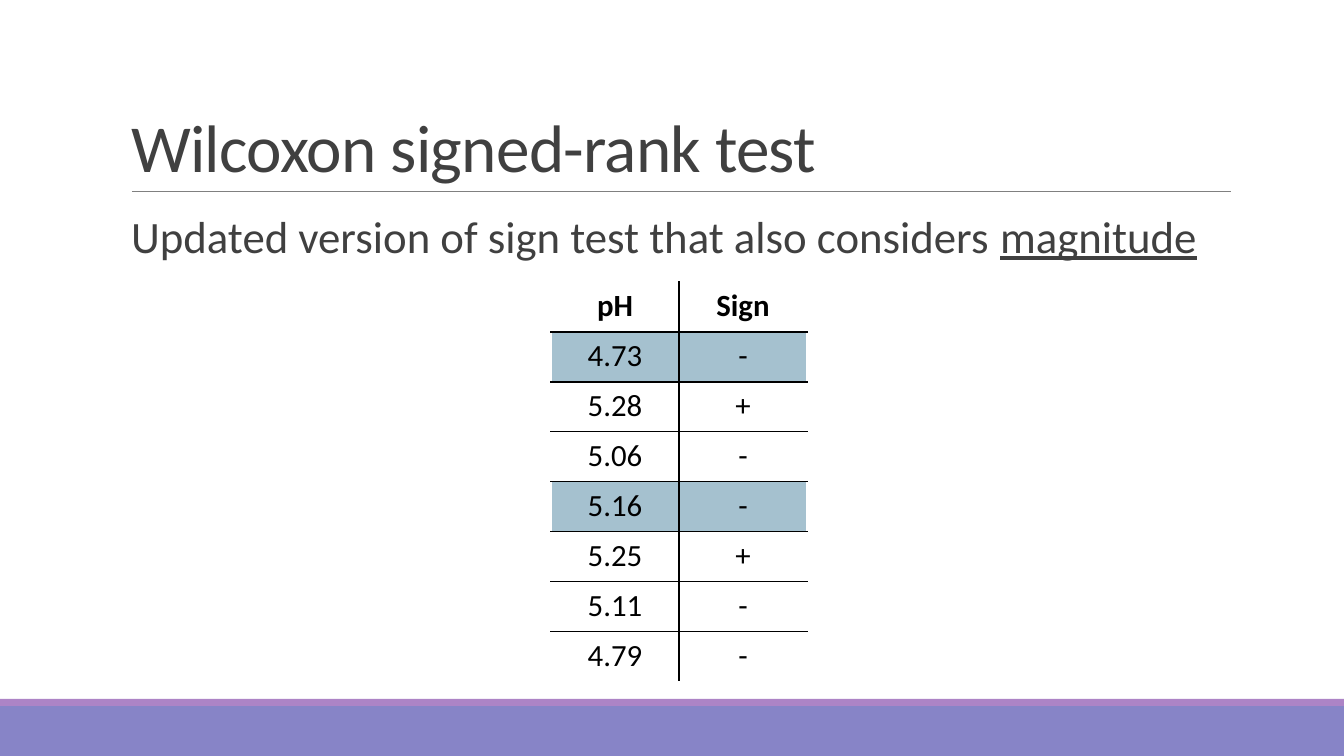
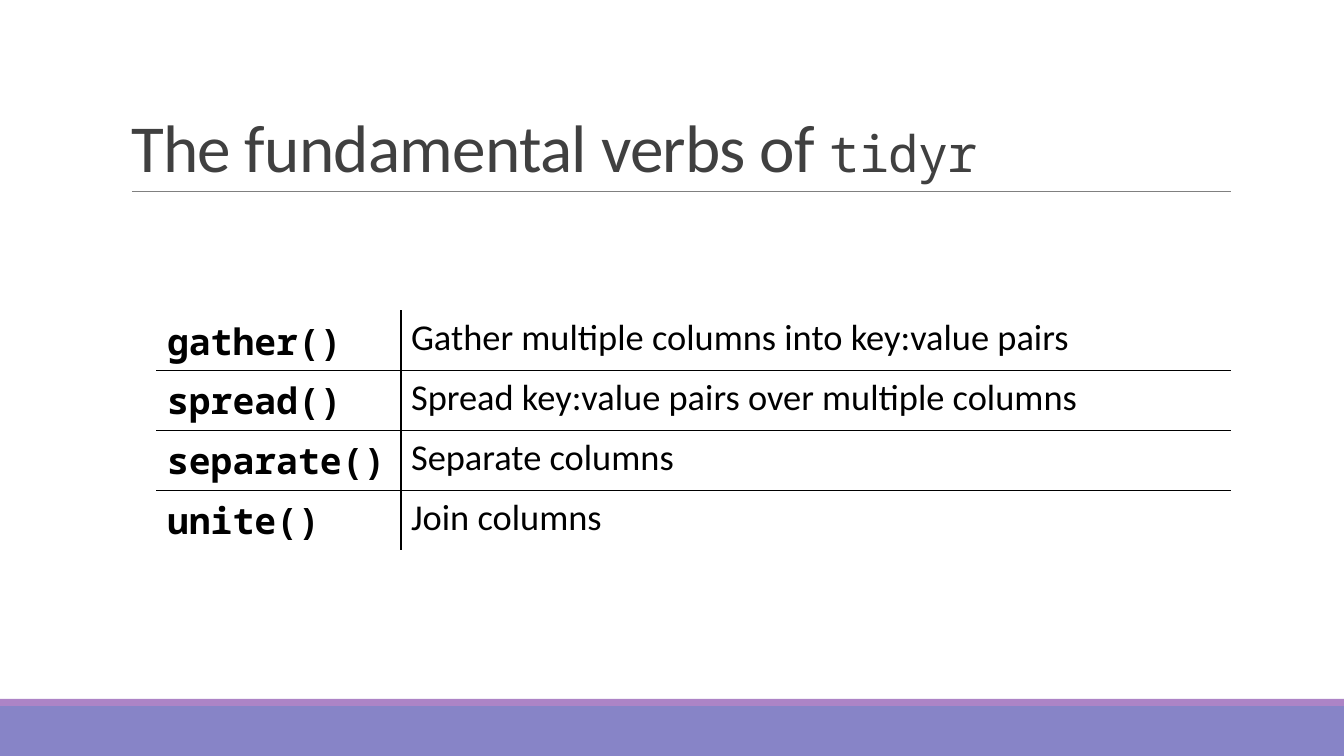
from dataclasses import dataclass

from lxml.etree import SubElement
from pptx import Presentation
from pptx.dml.color import RGBColor
from pptx.enum.shapes import MSO_CONNECTOR, MSO_SHAPE
from pptx.enum.text import MSO_ANCHOR, MSO_AUTO_SIZE, PP_ALIGN
from pptx.oxml.ns import qn
from pptx.util import Emu, Pt

PX_PER_INCH = 100.8
WIDTH, HEIGHT = 1344, 756


def px(n):
    return Emu(round(n * 914400 / PX_PER_INCH))


@dataclass(frozen=True)
class Theme:
    text: str = "404040"
    ink: str = "000000"
    paper: str = "FFFFFF"
    rule: str = "808080"
    footer: str = "8784C7"
    accent: str = "AD84C6"
    highlight: str = "A5C1CF"
    sans: str = "Calibri"
    mono: str = "Noto Sans Mono"
    title_size: int = 48
    title_code_size: int = 36
    body_size: int = 32
    number_size: int = 22
    verb_size: int = 26


class Deck:
    """Holds the style and the slide being built."""

    def __init__(self, theme):
        self.theme = theme
        self.prs = Presentation()
        self.prs.slide_width, self.prs.slide_height = px(WIDTH), px(HEIGHT)
        self.s = None

    # Slide with its shared bands and title rule
    def slide(self, layout):
        self.s = self.prs.slides.add_slide(self.prs.slide_layouts.get_by_name(layout))
        self.band(706, 50, self.theme.footer)
        self.band(699, 7, self.theme.accent)
        self.rule(132, 1231, 191)

    def band(self, top, height, color):
        sp = self.s.shapes.add_shape(MSO_SHAPE.RECTANGLE, 0, px(top), px(WIDTH), px(height))
        sp.shadow.inherit = False
        sp.fill.solid()
        sp.fill.fore_color.rgb = RGBColor.from_string(color)
        sp.line.fill.background()

    def rule(self, left, right, y):
        ln = self.s.shapes.add_connector(
            MSO_CONNECTOR.STRAIGHT, px(left), px(y), px(right), px(y))
        ln.line.width = Pt(0.5)
        ln.line.color.rgb = RGBColor.from_string(self.theme.rule)
        SubElement(ln._element.spPr, qn("a:effectLst"))

    # Text
    def runs(self, p, parts, color, **base):
        """Add (text, format values) parts that share the base values."""
        for text, changes in parts:
            r = p.add_run()
            r.text = text
            for name, value in {"name": self.theme.sans, **base, **changes}.items():
                setattr(r.font, name, Pt(value) if name == "size" else value)
            r.font.color.rgb = RGBColor.from_string(color)

    def place(self, sp, left, top, width, height, **frame):
        sp.left, sp.top, sp.width, sp.height = map(px, (left, top, width, height))
        tf = sp.text_frame
        for name, value in {"auto_size": MSO_AUTO_SIZE.NONE, "word_wrap": True, **frame}.items():
            setattr(tf, name, value)
        p = tf.paragraphs[0]
        p.alignment, p.space_before = PP_ALIGN.LEFT, Pt(0)
        return p

    def title(self, *parts):
        p = self.place(self.s.shapes.title, 121, 31, 1109, 160,
                       vertical_anchor=MSO_ANCHOR.BOTTOM)
        p.line_spacing = 0.85
        self.runs(p, parts, self.theme.text, size=self.theme.title_size)
        for r in p.runs:
            r.font._element.set("spc", "-50")

    def body(self, *parts):
        p = self.place(self.s.placeholders[1], 121, 204, 1109, 444,
                       margin_left=0, margin_right=0, vertical_anchor=MSO_ANCHOR.TOP)
        p.space_after = Pt(2)
        # Blank bullet with a hanging indent
        pPr = p._p.get_or_add_pPr()
        pPr.set("marL", str(px(10)))
        pPr.set("indent", str(-px(10)))
        SubElement(SubElement(pPr, qn("a:buClr")), qn("a:srgbClr"), val=self.theme.accent)
        SubElement(pPr, qn("a:buFont"), typeface=self.theme.sans)
        SubElement(pPr, qn("a:buChar"), char=" ")
        self.runs(p, parts, self.theme.text, size=self.theme.body_size)

    # Table with inner rules only
    def table(self, left, top, widths, row_height, rows, size,
              cell_format, align=PP_ALIGN.LEFT, highlighted=()):
        """cell_format(row, column) gives the font values of a cell."""
        n_rows, n_cols = len(rows), len(widths)
        tbl = self.s.shapes.add_table(
            n_rows, n_cols, px(left), px(top), px(sum(widths)), px(row_height * n_rows)).table
        tbl.first_row = tbl.horz_banding = False
        for col, width in zip(tbl.columns, widths):
            col.width = px(width)
        for i, row in enumerate(rows):
            tbl.rows[i].height = px(row_height)
            for j, text in enumerate(row):
                cell = tbl.cell(i, j)
                self.borders(cell, {"L": j > 0, "R": j < n_cols - 1,
                                    "T": i > 0, "B": i < n_rows - 1})
                cell.fill.solid()
                cell.fill.fore_color.rgb = RGBColor.from_string(
                    self.theme.highlight if i in highlighted else self.theme.paper)
                p = cell.text_frame.paragraphs[0]
                p.alignment = align
                self.runs(p, [(text, cell_format(i, j))], self.theme.ink, size=size)

    def borders(self, cell, inner):
        tcPr = cell._tc.get_or_add_tcPr()
        for side, is_inner in inner.items():
            ln = SubElement(tcPr, qn(f"a:ln{side}"), w=str(Pt(1)))
            SubElement(SubElement(ln, qn("a:solidFill")), qn("a:srgbClr"),
                       val=self.theme.ink if is_inner else self.theme.paper)


def main():
    theme = Theme()
    deck = Deck(theme)

    # Signed-rank test
    deck.slide("Title and Content")
    deck.title(("Wilcoxon signed-rank test", {}))
    deck.body(("Updated version of sign test that also considers ", {}),
              ("magnitude", {"underline": True}))
    samples = [("pH", "Sign"), ("4.73", "-"), ("5.28", "+"), ("5.06", "-"),
               ("5.16", "-"), ("5.25", "+"), ("5.11", "-"), ("4.79", "-")]
    deck.table(551, 282, (128, 128), 50, samples, theme.number_size,
               lambda i, j: {"bold": i == 0}, PP_ALIGN.CENTER, highlighted=(1, 4))

    # Verbs of tidyr
    deck.slide("Title Only")
    deck.title(("The fundamental verbs of ", {}),
               ("tidyr", {"name": theme.mono, "size": theme.title_code_size}))
    verbs = [("gather()", "Gather multiple columns into key:value pairs"),
             ("spread()", "Spread key:value pairs over multiple columns"),
             ("separate()", "Separate columns"),
             ("unite()", "Join columns")]
    deck.table(157, 311, (244, 829), 54, verbs, theme.verb_size,
               lambda i, j: {"bold": j == 0, "name": theme.sans if j else theme.mono})

    deck.prs.save("out.pptx")


if __name__ == "__main__":
    main()
